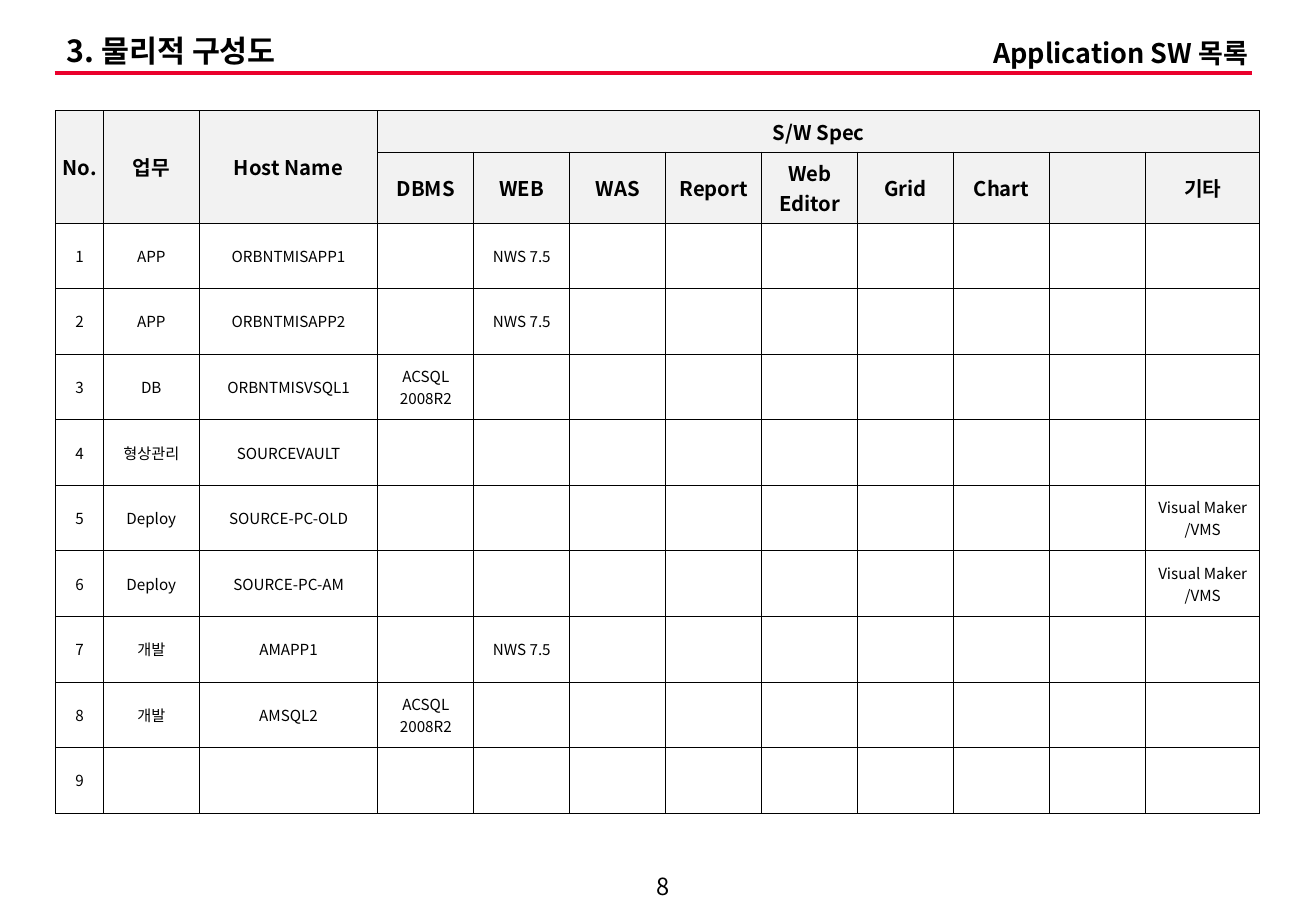
"""Build the application software list slide."""
from dataclasses import dataclass

from pptx import Presentation
from pptx import util as u
from pptx.dml.color import RGBColor
from pptx.enum import shapes, text
from pptx.oxml import parse_xml
from pptx.oxml.ns import nsdecls, qn
from lxml import etree


@dataclass(frozen=True)
class Theme:
    face: str = "Noto Sans CJK KR"
    ink: str = "000000"
    red: str = "EA002C"
    head: str = "F2F2F2"
    body: str = "FFFFFF"
    title: int = 18
    topic: int = 16
    page: int = 14
    label: int = 12
    cell: int = 9
    rule: float = 2.25
    edge: float = 0.5


@dataclass(frozen=True)
class Box:
    words: str
    left: float
    top: float
    width: float
    height: float
    size: int
    bold: bool
    align: text.PP_ALIGN
    anchor: text.MSO_ANCHOR
    grow: bool = True
    space: float = 1.0


@dataclass(frozen=True)
class Host:
    task: str = ""
    name: str = ""
    dbms: str = ""
    web: str = ""
    other: str = ""


THEME = Theme()
ALIGN, ANCHOR = text.PP_ALIGN, text.MSO_ANCHOR

BOXES = [
    Box("8", 5.1, 7.14, 0.71, 0.31, THEME.page, False, ALIGN.CENTER, ANCHOR.MIDDLE, grow=False),
    Box("3. 물리적 구성도", 0.45, 0.25, 9.53, 0.37, THEME.title, True, ALIGN.LEFT, ANCHOR.MIDDLE, space=0.9),
    Box("Application SW 목록", 7.63, 0.25, 2.74, 0.37, THEME.topic, True, ALIGN.RIGHT, ANCHOR.TOP),
]

KEYS = ["No.", "업무", "Host Name"]
SPECS = ["DBMS", "WEB", "WAS", "Report", "Web Editor", "Grid", "Chart", "", "기타"]
SQL, WEB, TOOL = "ACSQL\n2008R2", "NWS 7.5", "Visual Maker\n/VMS"
HOSTS = [
    Host("APP", "ORBNTMISAPP1", web=WEB),
    Host("APP", "ORBNTMISAPP2", web=WEB),
    Host("DB", "ORBNTMISVSQL1", dbms=SQL),
    Host("형상관리", "SOURCEVAULT"),
    Host("Deploy", "SOURCE-PC-OLD", other=TOOL),
    Host("Deploy", "SOURCE-PC-AM", other=TOOL),
    Host("개발", "AMAPP1", web=WEB),
    Host("개발", "AMSQL2", dbms=SQL),
    Host(),
]
WIDTHS = [0.39, 0.79, 1.47] + [0.79] * (len(SPECS) - 1) + [0.94]
HEIGHTS = [0.31, 0.39] + [0.54] * len(HOSTS)


def write(frame, words: str, *, size: int, bold: bool = False,
          align: text.PP_ALIGN = ALIGN.CENTER, space: float = 1.0) -> None:
    """Write each line of the words as a formatted paragraph."""
    for index, line in enumerate(words.split("\n")):
        para = frame.add_paragraph() if index else frame.paragraphs[0]
        para.alignment = align
        para.line_spacing = space
        if not line:
            para._p.get_or_add_endParaRPr().set("sz", str(size * 100))
            continue
        run = para.add_run()
        run.text = line
        font = run.font
        font.name, font.size, font.bold = THEME.face, u.Pt(size), bold
        font.color.rgb = RGBColor.from_string(THEME.ink)
        asian = etree.SubElement(run._r.get_or_add_rPr(), qn("a:ea"))
        asian.set("typeface", THEME.face)


def place(slide, box: Box) -> None:
    """Place one text box on the slide."""
    shape = slide.shapes.add_textbox(*map(u.Inches, (box.left, box.top, box.width, box.height)))
    frame = shape.text_frame
    frame.word_wrap = True
    frame.vertical_anchor = box.anchor
    frame.auto_size = text.MSO_AUTO_SIZE.SHAPE_TO_FIT_TEXT if box.grow else text.MSO_AUTO_SIZE.NONE
    write(frame, box.words, size=box.size, bold=box.bold, align=box.align, space=box.space)


def rule(slide) -> None:
    """Draw the red line under the headings."""
    line = slide.shapes.add_connector(
        shapes.MSO_CONNECTOR.STRAIGHT, *map(u.Inches, (0.45, 0.6, 10.3, 0.6)))
    line.line.color.rgb = RGBColor.from_string(THEME.red)
    line.line.width = u.Pt(THEME.rule)
    etree.SubElement(line._element.spPr, qn("a:effectLst"))


def style(cell, words: str, head: bool) -> None:
    """Give one cell its edges, fill, margins and words."""
    props = cell._tc.get_or_add_tcPr()
    for side in ("lnL", "lnR", "lnT", "lnB"):
        props.append(parse_xml(
            f'<a:{side} {nsdecls("a")} w="{u.Pt(THEME.edge)}"><a:solidFill>'
            f'<a:srgbClr val="{THEME.ink}"/></a:solidFill></a:{side}>'))
    cell.fill.solid()
    cell.fill.fore_color.rgb = RGBColor.from_string(THEME.head if head else THEME.body)
    cell.vertical_anchor = ANCHOR.MIDDLE
    cell.margin_left = cell.margin_right = 0
    cell.margin_top = cell.margin_bottom = u.Inches(0.05)
    write(cell.text_frame, words, size=THEME.label if head else THEME.cell, bold=head)


def fill(slide) -> None:
    """Build the software table with its merged headings."""
    gap = [""] * (len(SPECS) - 1)
    rows = [KEYS + ["S/W Spec"] + gap, [""] * len(KEYS) + SPECS]
    for number, host in enumerate(HOSTS, 1):
        blank = [""] * (len(SPECS) - 3)
        rows.append([str(number), host.task, host.name, host.dbms, host.web, *blank, host.other])
    table = slide.shapes.add_table(
        len(rows), len(WIDTHS),
        *map(u.Inches, (0.46, 0.91, sum(WIDTHS), sum(HEIGHTS)))).table
    table.first_row = table.horz_banding = False
    for column, width in zip(table.columns, WIDTHS):
        column.width = u.Inches(width)
    for row, height in zip(table.rows, HEIGHTS):
        row.height = u.Inches(height)
    for y, row in enumerate(rows):
        for x, words in enumerate(row):
            style(table.cell(y, x), words, y < 2)
    for x in range(len(KEYS)):
        table.cell(0, x).merge(table.cell(1, x))
    table.cell(0, len(KEYS)).merge(table.cell(0, len(WIDTHS) - 1))


def main() -> None:
    """Create and save the deck."""
    deck = Presentation()
    deck.slide_width, deck.slide_height = u.Inches(10.83), u.Inches(7.5)
    slide = deck.slides.add_slide(deck.slide_layouts[6])
    rule(slide)
    fill(slide)
    for box in BOXES:
        place(slide, box)
    deck.save("out.pptx")


main()
